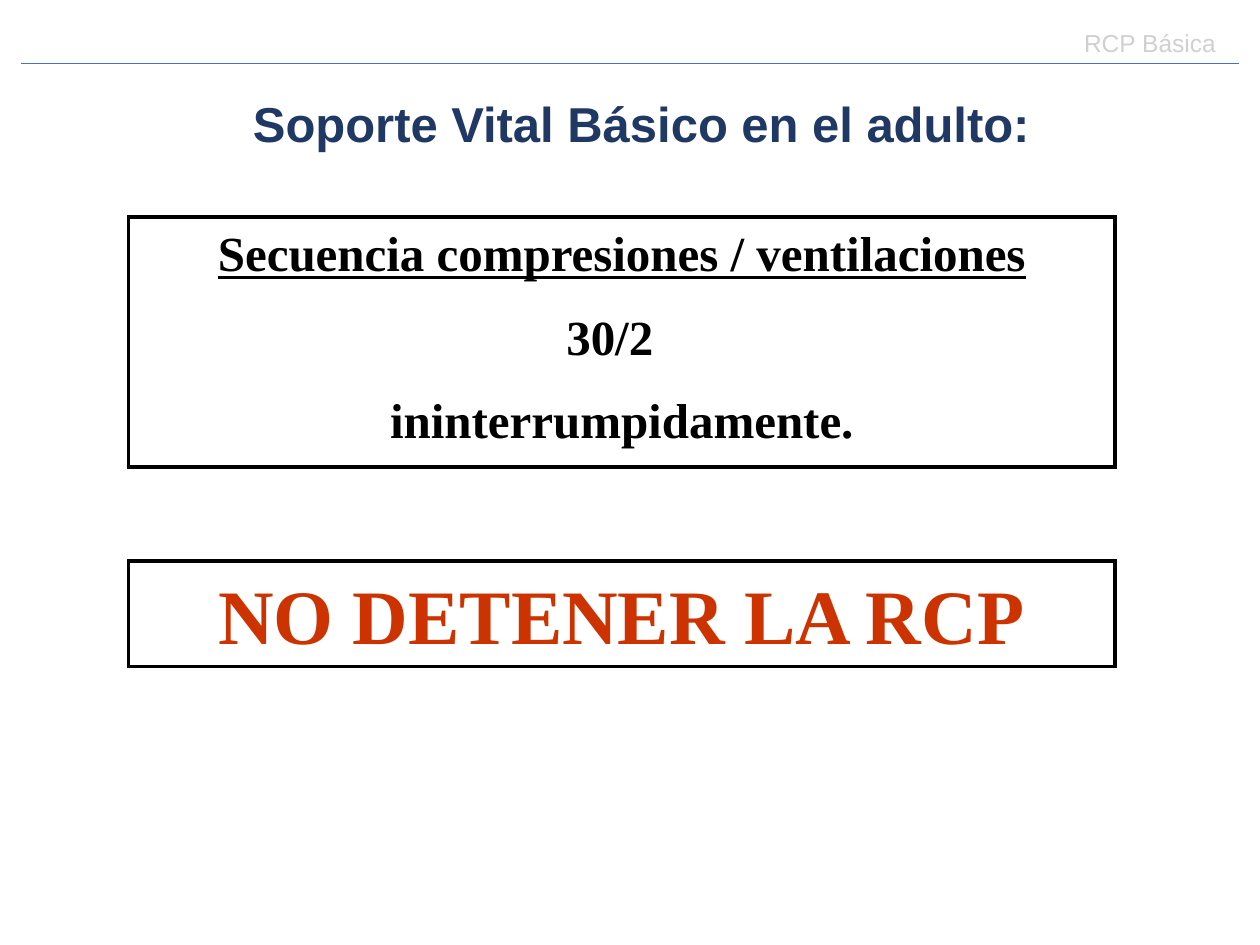
import pptx
import pptx.dml.color
import pptx.enum.shapes
import pptx.enum.text
import pptx.util
from dataclasses import dataclass
from lxml import etree
from pptx.util import Inches


@dataclass(frozen=True)
class Theme:
    heading_font: str = "Arial"
    body_font: str = "Times New Roman"
    title: str = "203864"
    header: str = "D0D0D0"
    rule: str = "4472C4"
    ink: str = "000000"
    paper: str = "FFFFFF"
    warning: str = "CC3300"
    header_size: int = 14
    text_size: int = 28
    warning_size: int = 44


theme = Theme()
Color = pptx.dml.color.RGBColor.from_string
Align = pptx.enum.text.PP_ALIGN
Anchor = pptx.enum.text.MSO_ANCHOR


def write(frame, lines, font, size, color, align=Align.CENTER, bold=True):
    frame.word_wrap = True
    frame.auto_size = pptx.enum.text.MSO_AUTO_SIZE.NONE
    frame.vertical_anchor = Anchor.TOP
    frame.text = "\n".join(lines)
    for index, para in enumerate(frame.paragraphs):
        para._p.get_or_add_pPr().set("marR", "0")
        para.alignment = align
        para.space_before = pptx.util.Pt(14 if index else 0)
        para.font.name = font
        para.font.size = pptx.util.Pt(size)
        para.font.bold = bold
        para.font.color.rgb = Color(color)


def framed_box(page, top, height, lines, size, color):
    box = page.shapes.add_shape(pptx.enum.shapes.MSO_SHAPE.RECTANGLE,
                                Inches(1.02), Inches(top), Inches(7.83), Inches(height))
    box.shadow.inherit = False
    box.fill.solid()
    box.fill.fore_color.rgb = Color(theme.paper)
    box.line.color.rgb = Color(theme.ink)
    box.line.width = pptx.util.Pt(2.25)
    miter = etree.SubElement(box.line._get_or_add_ln(), pptx.oxml.ns.qn("a:miter"))
    miter.set("lim", "800000")
    write(box.text_frame, lines, theme.body_font, size, color)
    return box


deck = pptx.Presentation()
deck.slide_width, deck.slide_height = Inches(10), Inches(7.5)
page = deck.slides.add_slide(deck.slide_layouts[5])

# Header label and rule
header = page.shapes.add_textbox(Inches(7.75), Inches(0.17), Inches(2), Inches(0.34))
write(header.text_frame, ["RCP Básica"], theme.heading_font, theme.header_size,
      theme.header, Align.RIGHT, bold=False)
rule = page.shapes.add_connector(pptx.enum.shapes.MSO_CONNECTOR.STRAIGHT,
                                 Inches(9.83), Inches(0.5), Inches(0.17), Inches(0.5))
rule.line.color.rgb = Color(theme.rule)
rule.line.width = pptx.util.Pt(0.5)
etree.SubElement(rule.element.spPr, pptx.oxml.ns.qn("a:effectLst"))

# Title
title = page.shapes.title
title.left, title.top = Inches(1.34), Inches(0.69)
title.width, title.height = Inches(7.5), Inches(0.57)
write(title.text_frame, ["Soporte Vital Básico en el adulto:"], theme.heading_font,
      theme.text_size, theme.title)

# Compression and ventilation sequence
sequence = framed_box(page, 1.72, 1.99,
                      ["Secuencia compresiones / ventilaciones", "30/2", "ininterrumpidamente."],
                      theme.text_size, theme.ink)
heading, ratio, _ = sequence.text_frame.paragraphs
heading.font.underline = True
# The ratio sits slightly left of centre
ratio._p.get_or_add_pPr().set("marR", str(Inches(0.19)))

# Warning
warning = framed_box(page, 4.45, 0.84, ["NO DETENER LA RCP"], theme.warning_size, theme.warning)
warning.text_frame.vertical_anchor = Anchor.MIDDLE

deck.save("out.pptx")
